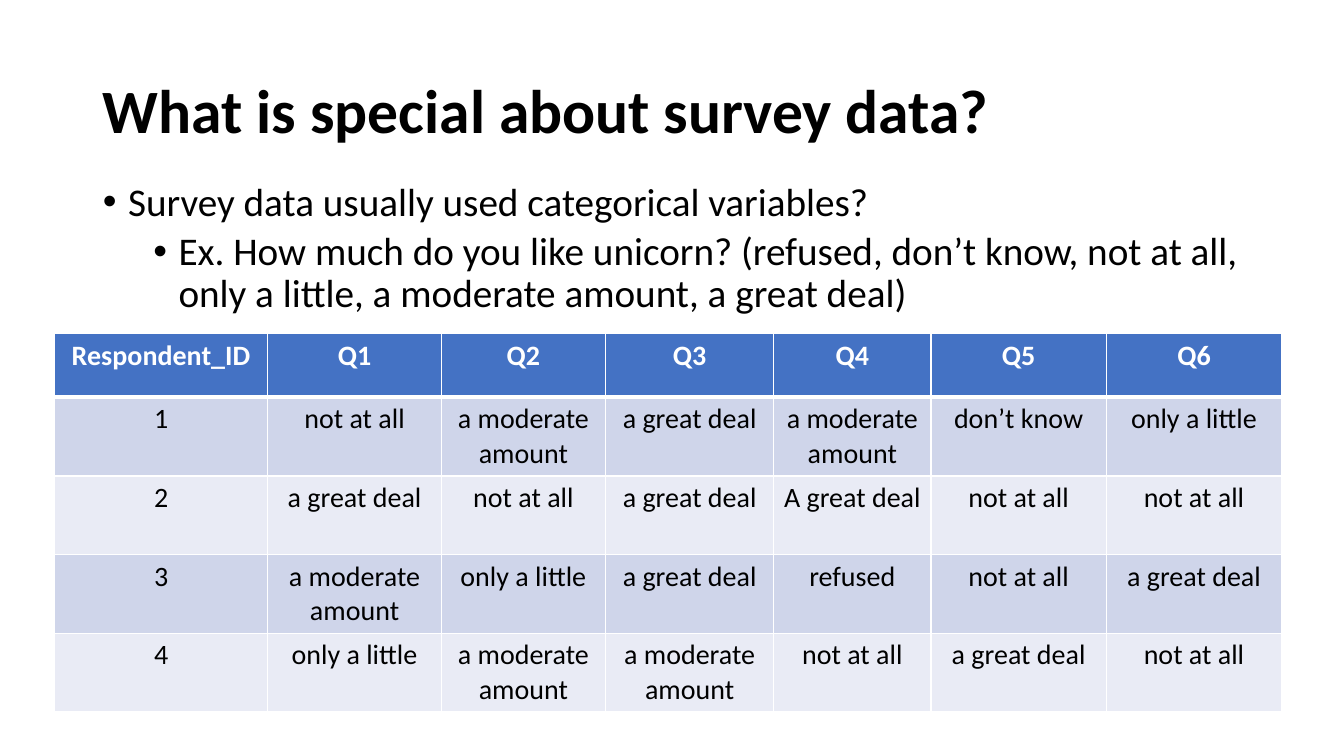
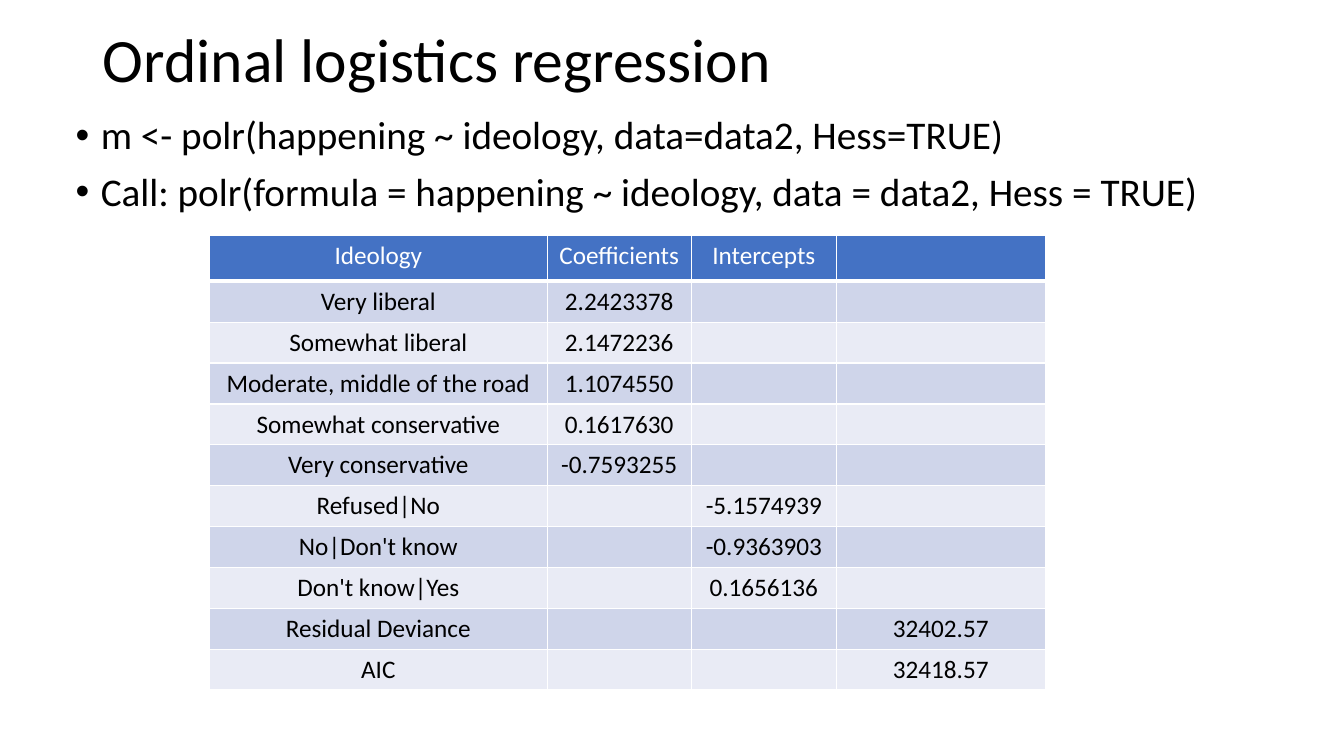
from lxml import etree
from pptx import Presentation
from pptx import util as u
from pptx.dml.color import RGBColor
from pptx.enum import text
from pptx.oxml import ns

# Shared look
FONT = "Calibri"
BLACK = RGBColor(0x00, 0x00, 0x00)
WHITE = RGBColor(0xFF, 0xFF, 0xFF)
HEADER_BLUE = RGBColor(0x44, 0x72, 0xC4)
BAND_DARK = RGBColor(0xCF, 0xD5, 0xEA)
BAND_LIGHT = RGBColor(0xE9, 0xEB, 0xF5)
TITLE_SIZE, BODY_SIZE = 44, 28
BULLET_HANG = 0.25  # inches
LINE_SPACING = 0.9


def add_span(para, words, size, color, bold=False):
    span = para.add_run()
    span.text = words
    span.font.name = FONT
    span.font.size = u.Pt(size)
    span.font.color.rgb = color
    span.font.bold = bold


def add_border(cell, side, position, width):
    line = etree.Element(ns.qn("a:ln" + side), w=str(u.Pt(width)))
    fill = etree.SubElement(line, ns.qn("a:solidFill"))
    etree.SubElement(fill, ns.qn("a:srgbClr"), val=str(WHITE))
    cell._tc.get_or_add_tcPr().insert(position, line)


# Content: boxes are left, top, width, height in cm; bullets are (level, words)
PAGES = [
    {
        "title": "What is special about survey data?",
        "title_bold": True,
        "title_box": (2.34, 1.02, 29.21, 3.68),
        "body_box": (2.34, 4.47, 29.21, 12.09),
        "bullets": [
            (0, "Survey data usually used categorical variables?"),
            (1, "Ex. How much do you like unicorn? (refused, don’t know, not at all, "
                "only a little, a moderate amount, a great deal)"),
        ],
        "table_at": (1.37, 8.41),
        "columns": [5.38, 4.37, 4.14, 4.24, 3.96, 4.42, 4.42],
        "row_heights": (1.6, 1.98),
        "table_size": 20,
        "header_bold": True,
        "rows": [
            ["Respondent_ID", "Q1", "Q2", "Q3", "Q4", "Q5", "Q6"],
            ["1", "not at all", "a moderate amount", "a great deal",
             "a moderate amount", "don’t know", "only a little"],
            ["2", "a great deal", "not at all", "a great deal",
             "A great deal", "not at all", "not at all"],
            ["3", "a moderate amount", "only a little", "a great deal",
             "refused", "not at all", "a great deal"],
            ["4", "only a little", "a moderate amount", "a moderate amount",
             "not at all", "a great deal", "not at all"],
        ],
    },
    {
        "title": "Ordinal logistics regression",
        "title_bold": False,
        "title_box": (2.34, 0.56, 29.21, 2.03),
        "body_box": (1.65, 2.79, 31.32, 13.49),
        "bullets": [
            (0, "m <- polr(happening ~ ideology, data=data2, Hess=TRUE)"),
            (0, "Call: polr(formula = happening ~ ideology, data = data2, Hess = TRUE)"),
        ],
        "table_at": (5.28, 5.94),
        "columns": [8.51, 3.63, 3.66, 5.26],
        "row_heights": (1.15, 1.03),
        "table_size": 18,
        "header_bold": False,
        "rows": [
            ["Ideology", "Coefficients", "Intercepts", ""],
            ["Very liberal", "2.2423378", "", ""],
            ["Somewhat liberal", "2.1472236", "", ""],
            ["Moderate, middle of the road", "1.1074550", "", ""],
            ["Somewhat conservative", "0.1617630", "", ""],
            ["Very conservative", "-0.7593255", "", ""],
            ["Refused|No", "", "-5.1574939", ""],
            ["No|Don't know", "", "-0.9363903", ""],
            ["Don't know|Yes", "", "0.1656136", ""],
            ["Residual Deviance", "", "", "32402.57"],
            ["AIC", "", "", "32418.57"],
        ],
    },
]

deck = Presentation()
deck.slide_width, deck.slide_height = u.Cm(33.87), u.Cm(19.05)

for content in PAGES:
    page = deck.slides.add_slide(deck.slide_layouts[1])
    title, body = page.shapes.title, page.placeholders[1]

    # Placeholder positions
    for box, place in ((title, content["title_box"]), (body, content["body_box"])):
        box.left, box.top, box.width, box.height = [u.Cm(length) for length in place]
        box.text_frame.word_wrap = True
        box.text_frame.auto_size = text.MSO_AUTO_SIZE.NONE

    # Title
    title.text_frame.vertical_anchor = text.MSO_ANCHOR.MIDDLE
    para = title.text_frame.paragraphs[0]
    para.alignment = text.PP_ALIGN.LEFT
    para.line_spacing = LINE_SPACING
    add_span(para, content["title"], TITLE_SIZE, BLACK, content["title_bold"])

    # Bulleted list
    body.text_frame.vertical_anchor = text.MSO_ANCHOR.TOP
    for index, (level, words) in enumerate(content["bullets"]):
        para = body.text_frame.paragraphs[0] if index == 0 else body.text_frame.add_paragraph()
        properties = para._p.get_or_add_pPr()
        properties.set("marL", str(u.Inches(BULLET_HANG + 0.5 * level)))
        properties.set("indent", str(-u.Inches(BULLET_HANG)))
        etree.SubElement(properties, ns.qn("a:buFont"), typeface="Arial")
        etree.SubElement(properties, ns.qn("a:buChar"), char="•")
        para.level = level
        para.line_spacing = LINE_SPACING
        para.space_before = u.Pt(0 if index == 0 else 5 if level else 10)
        add_span(para, words, BODY_SIZE, BLACK)

    # Table frame
    rows, columns = content["rows"], content["columns"]
    header_height, row_height = content["row_heights"]
    left, top = content["table_at"]
    height = header_height + row_height * (len(rows) - 1)
    table = page.shapes.add_table(len(rows), len(columns), u.Cm(left), u.Cm(top),
                                  u.Cm(sum(columns)), u.Cm(height)).table
    for column, width in zip(table.columns, columns):
        column.width = u.Cm(width)

    # Table cells, with a thick rule under the header
    for r, row in enumerate(rows):
        is_header = r == 0
        table.rows[r].height = u.Cm(header_height if is_header else row_height)
        band = HEADER_BLUE if is_header else BAND_DARK if r % 2 else BAND_LIGHT
        widths = {"L": 1, "R": 1, "T": 3 if r == 1 else 1, "B": 3 if is_header else 1}
        for c, words in enumerate(row):
            cell = table.cell(r, c)
            cell.fill.solid()
            cell.fill.fore_color.rgb = band
            for position, (side, width) in enumerate(widths.items()):
                add_border(cell, side, position, width)
            para = cell.text_frame.paragraphs[0]
            para.alignment = text.PP_ALIGN.CENTER
            if words:
                add_span(para, words, content["table_size"], WHITE if is_header else BLACK,
                         is_header and content["header_bold"])

deck.save("out.pptx")
